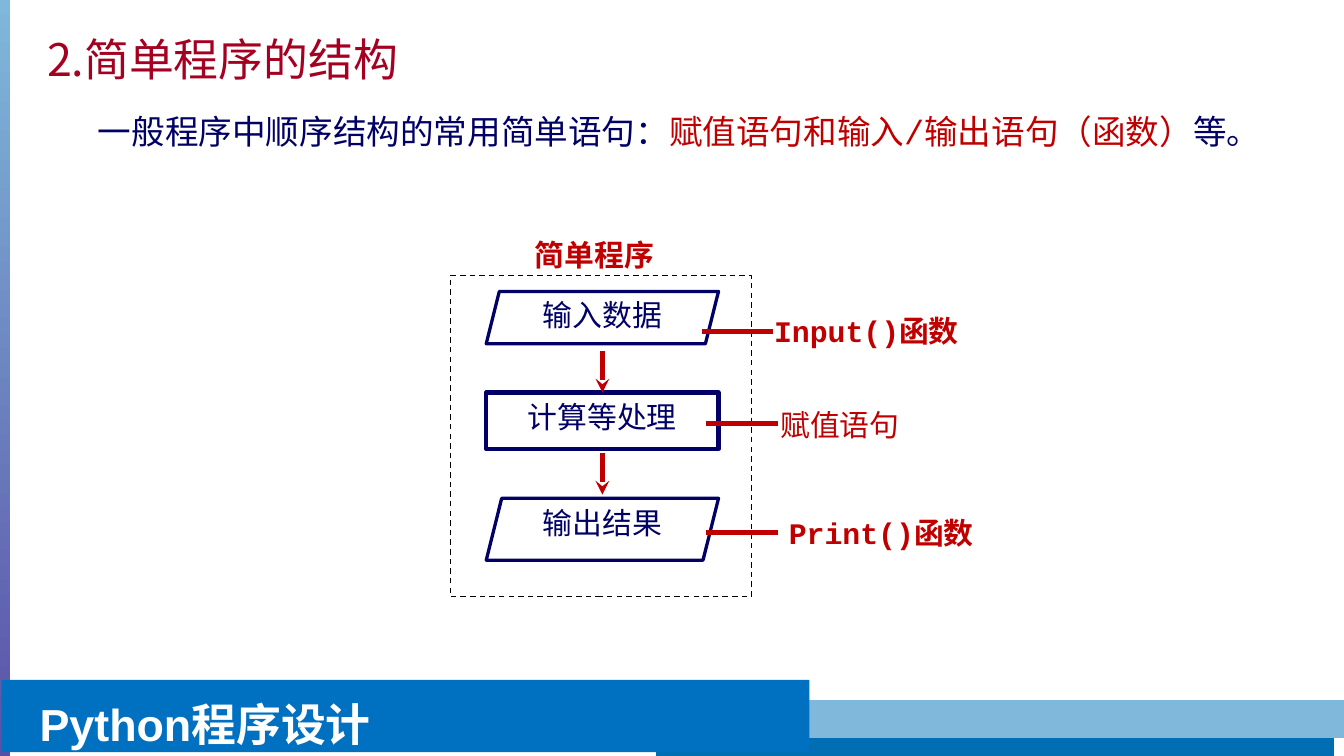
import pptx
import pptx.util
import pptx.dml.color
import pptx.enum.dml
import pptx.enum.shapes
import pptx.enum.text
import pptx.oxml
import pptx.oxml.ns
import lxml.etree

Cm = pptx.util.Cm
Pt = pptx.util.Pt
RGBColor = pptx.dml.color.RGBColor
PRESET = pptx.enum.shapes.MSO_SHAPE
ALIGN = pptx.enum.text.PP_ALIGN
qn = pptx.oxml.ns.qn

NAVY = RGBColor(0x00, 0x00, 0x66)
RED = RGBColor(0xC0, 0x00, 0x00)
CRIMSON = RGBColor(0xA5, 0x00, 0x21)
BLACK = RGBColor(0x00, 0x00, 0x00)
WHITE = RGBColor(0xFF, 0xFF, 0xFF)
FOOTER_BLUE = RGBColor(0x00, 0x70, 0xC0)
DARK_BLUE = RGBColor(0x00, 0x6E, 0xB2)
LIGHT_BLUE = RGBColor(0x7F, 0xB8, 0xDA)
VIOLET = RGBColor(0x4E, 0x2E, 0x96)

MONO = "Courier New"
CJK = "Noto Sans CJK SC"
FOOTER_CJK = "Noto Sans CJK JP"

STEP_LEFT, STEP_WIDTH = 9.19, 4.39
STEP_CENTER = STEP_LEFT + STEP_WIDTH / 2


def add_run(paragraph, text, size, color, bold=False, font=MONO, east_asian=CJK):
    run = paragraph.add_run()
    run.text = text
    run.font.size = Pt(size)
    run.font.bold = bold
    run.font.name = font
    run.font.color.rgb = color
    latin = run.font._element.find(qn("a:latin"))
    ea = lxml.etree.Element(qn("a:ea"), typeface=east_asian)
    latin.addnext(ea)


def add_label(slide, left, top, width, height, runs, wrap=True):
    label = slide.shapes.add_textbox(Cm(left), Cm(top), Cm(width), Cm(height))
    frame = label.text_frame
    frame.word_wrap = wrap
    frame.auto_size = pptx.enum.text.MSO_AUTO_SIZE.SHAPE_TO_FIT_TEXT
    for run in runs:
        add_run(frame.paragraphs[0], *run)


def add_block(slide, preset, left, top, width, height):
    block = slide.shapes.add_shape(preset, Cm(left), Cm(top), Cm(width), Cm(height))
    block.shadow.inherit = False
    block.fill.background()
    block.line.fill.background()
    block.text_frame.vertical_anchor = pptx.enum.text.MSO_ANCHOR.TOP
    return block


def add_outline(block, color, width):
    block.line.color.rgb = color
    block.line.width = Pt(width)


def add_line(slide, x1, y1, x2, y2, color, width, arrow=False):
    line = slide.shapes.add_connector(
        pptx.enum.shapes.MSO_CONNECTOR.STRAIGHT, Cm(x1), Cm(y1), Cm(x2), Cm(y2))
    line.line.color.rgb = color
    line.line.width = Pt(width)
    if arrow:
        outline = line.line._get_or_add_ln()
        lxml.etree.SubElement(outline, qn("a:tailEnd"), type="stealth")
    lxml.etree.SubElement(line._element.spPr, qn("a:effectLst"))
    return line


def add_step(slide, preset, top, height, text, outline_width):
    step = add_block(slide, preset, STEP_LEFT, top, STEP_WIDTH, height)
    add_outline(step, NAVY, outline_width)
    frame = step.text_frame
    if preset == PRESET.PARALLELOGRAM:
        frame.margin_left = frame.margin_top = frame.margin_right = 0
    frame.paragraphs[0].alignment = ALIGN.CENTER
    add_run(frame.paragraphs[0], text, 16, NAVY)
    return step


def add_side_bar(slide):
    side_bar = add_block(slide, PRESET.RECTANGLE, -0.05, 0, 0.25, 18.92)
    side_bar.fill.gradient()
    side_bar.fill.gradient_angle = 270
    for stop, color in zip(side_bar.fill.gradient_stops, (LIGHT_BLUE, VIOLET)):
        stop.color.rgb = color


def add_footer(slide):
    add_line(slide, 12.4, 14.07, 25.22, 14.07, DARK_BLUE, 16)
    add_line(slide, 12.04, 13.59, 25.5, 13.59, LIGHT_BLUE, 20)
    banner = add_block(slide, PRESET.RECTANGLE, 0.03, 12.85, 15.27, 1.37)
    banner.fill.solid()
    banner.fill.fore_color.rgb = FOOTER_BLUE
    banner.text_frame.margin_left = Cm(0.72)
    course = banner.text_frame.paragraphs[0]
    course.alignment = ALIGN.LEFT
    course.line_spacing = 1.2
    add_run(course, "Python", 24, WHITE, True, "Arial", FOOTER_CJK)
    add_run(course, "程序设计", 24, WHITE, True, FOOTER_CJK, FOOTER_CJK)


def add_flowchart(slide):
    program = add_block(slide, PRESET.RECTANGLE, 8.51, 5.21, 5.69, 6.07)
    add_outline(program, BLACK, 0.75)
    program.line.dash_style = pptx.enum.dml.MSO_LINE.DASH
    add_label(slide, 9.86, 4.34, 2.79, 0.94, [("简单程序", 16, RED, True)], False)

    add_step(slide, PRESET.PARALLELOGRAM, 5.51, 0.99, "输入数据", 1.75)
    processing = add_step(slide, PRESET.RECTANGLE, 7.42, 1.07, "计算等处理", 2.25)
    add_step(slide, PRESET.PARALLELOGRAM, 9.42, 1.17, "输出结果", 1.75)

    to_processing = add_line(
        slide, STEP_CENTER, 6.63, STEP_CENTER, 7.42, RED, 2.5, True)
    to_processing.end_connect(processing, 0)
    add_line(slide, STEP_CENTER, 8.56, STEP_CENTER, 9.35, RED, 2.5, True)

    for start, end, y in ((13.26, 14.61, 6.27), (13.34, 14.71, 8), (13.34, 14.71, 10.06)):
        add_line(slide, end, y, start, y, RED, 2.5)
    add_label(slide, 14.38, 5.79, 5.72, 0.94, [("Input()函数", 16, RED, True)])
    add_label(slide, 14.5, 7.57, 2.79, 0.94, [("赋值语句", 16, RED)], False)
    add_label(slide, 14.66, 9.6, 4.06, 0.94, [("Print()函数", 16, RED, True)])


def main():
    deck = pptx.Presentation()
    deck.slide_width = Cm(25.4)
    deck.slide_height = Cm(14.29)
    slide = deck.slides.add_slide(deck.slide_layouts[6])
    add_side_bar(slide)
    add_footer(slide)
    add_flowchart(slide)
    add_label(slide, 0.64, 0.48, 12.29, 1.27,
              [("2.简单程序的结构", 24, CRIMSON, False, CJK)])
    add_label(slide, 1.6, 1.98, 23.5, 1.02, [
        ("一般程序中顺序结构的常用简单语句：", 18, NAVY),
        ("赋值语句和输入/输出语句（函数）", 18, RED),
        ("等。", 18, NAVY),
    ])
    deck.save("out.pptx")


if __name__ == "__main__":
    main()
